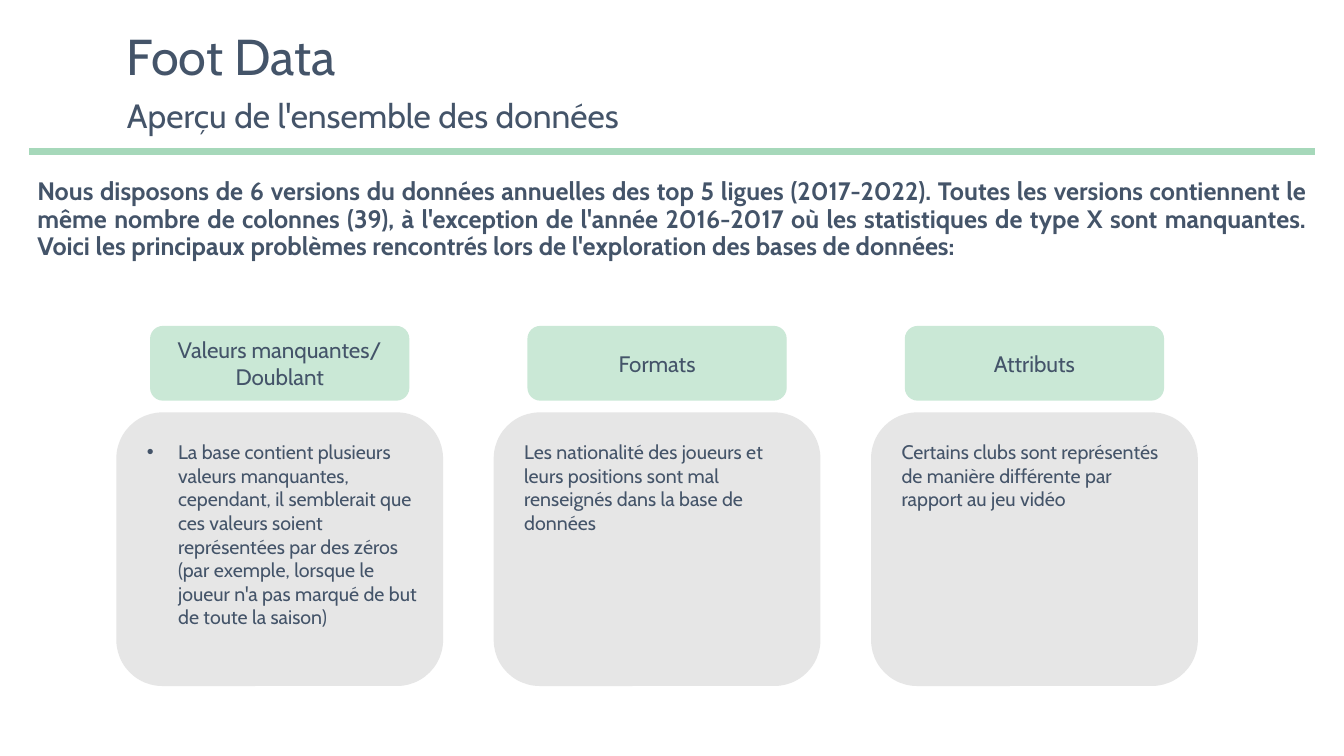
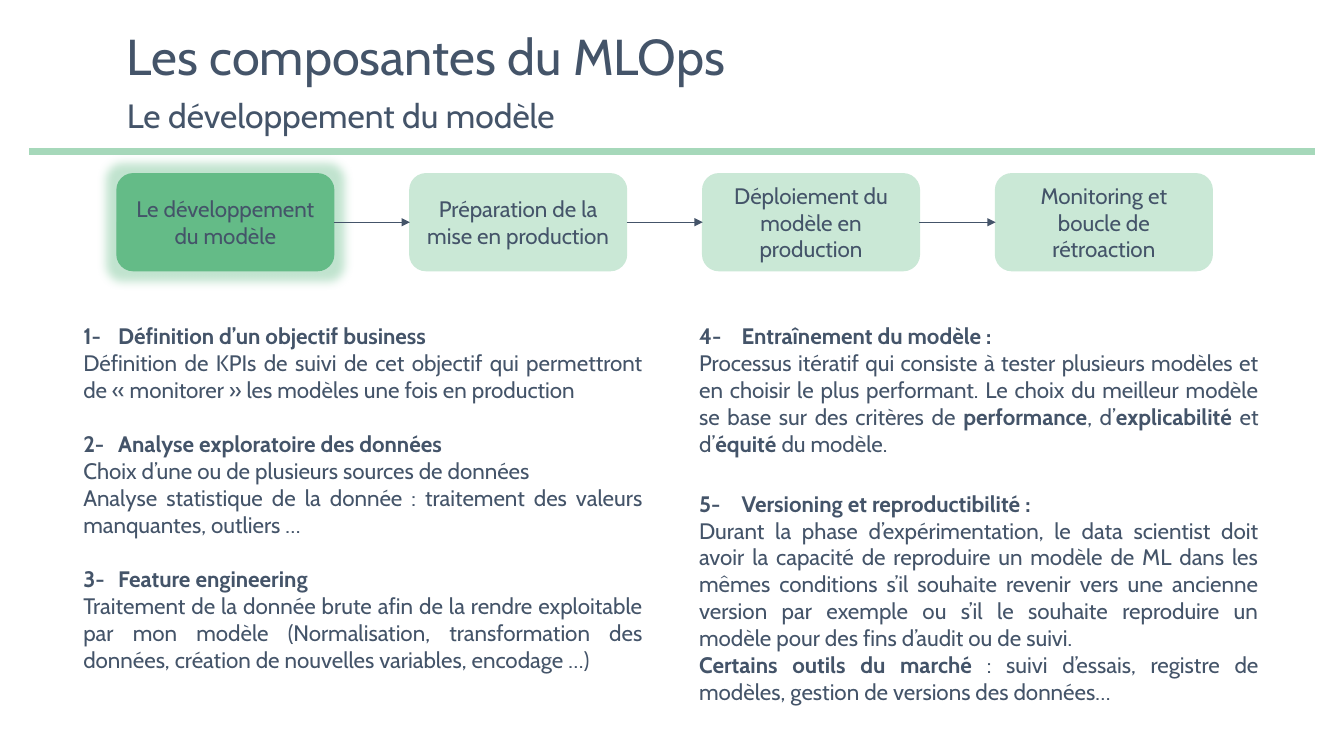
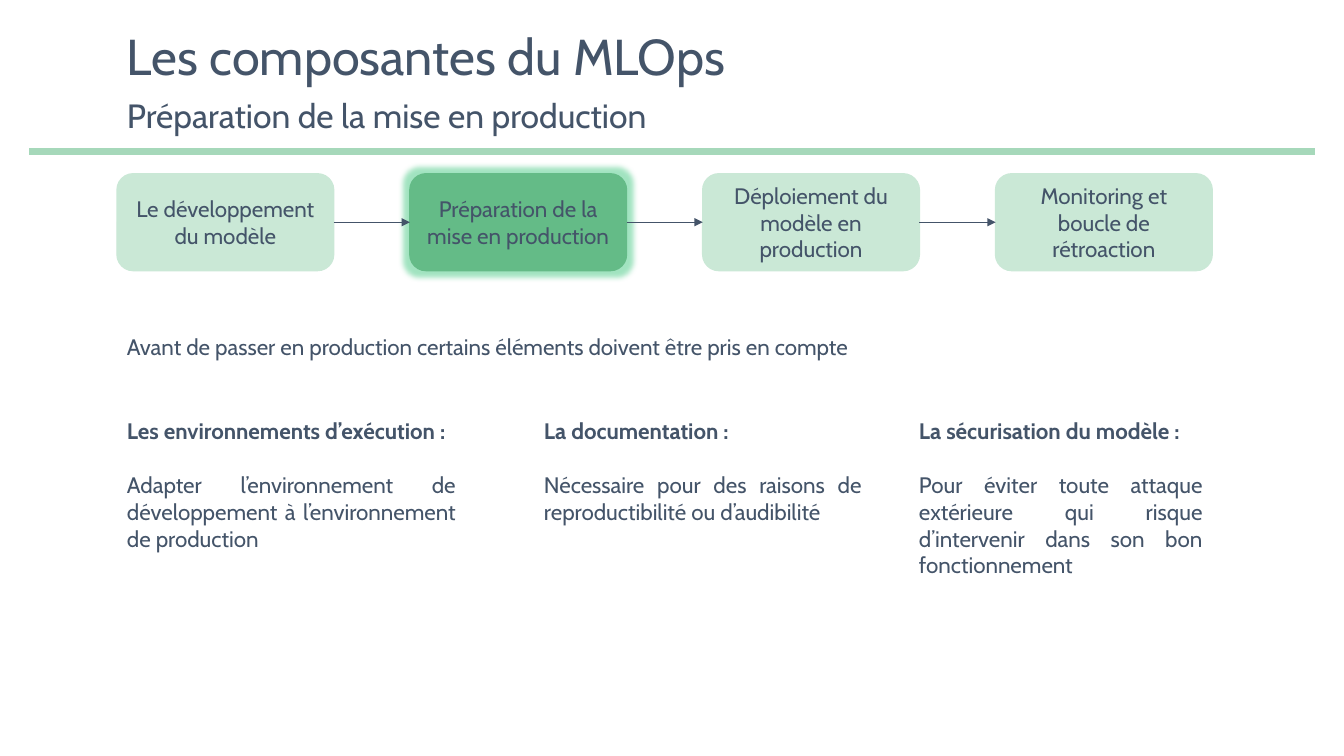
from lxml import etree
from pptx import Presentation
from pptx.dml.color import RGBColor
from pptx.enum.shapes import MSO_CONNECTOR, MSO_SHAPE
from pptx.enum.text import MSO_ANCHOR, PP_ALIGN
from pptx.oxml.ns import qn
from pptx.util import Cm, Pt

STRAIGHT = MSO_CONNECTOR.STRAIGHT
ROUNDED = MSO_SHAPE.ROUNDED_RECTANGLE
TOP, MIDDLE = MSO_ANCHOR.TOP, MSO_ANCHOR.MIDDLE
LEFT, CENTER, JUSTIFY = PP_ALIGN.LEFT, PP_ALIGN.CENTER, PP_ALIGN.JUSTIFY

FONT = "Cabin"
INK = "445469"
RULE_GREEN = "A6D8BA"
PALE_GREEN = "CAE8D6"
STRONG_GREEN = "64BB87"
GREY = "E6E6E6"
color = RGBColor.from_string


def write(shape, lines, size, align=LEFT, anchor=TOP, spacing=None, gap=0):
    frame = shape.text_frame
    frame.word_wrap = True
    frame.vertical_anchor = anchor
    for index, line in enumerate(lines):
        paragraph = frame.add_paragraph() if index else frame.paragraphs[0]
        paragraph.alignment = align
        if spacing:
            paragraph.line_spacing = spacing
        if index and gap:
            paragraph.space_before = Pt(gap)
        for part, words in enumerate(line.split("**")):
            if words:
                run = paragraph.add_run()
                run.text = words
                run.font.name = FONT
                run.font.size = Pt(size)
                run.font.bold = part % 2 == 1
                run.font.color.rgb = color(INK)
    return frame


def add_panel(slide, left, top, width, height, fill, label=""):
    panel = slide.shapes.add_shape(ROUNDED, Cm(left), Cm(top), Cm(width), Cm(height))
    panel.shadow.inherit = False
    panel.fill.solid()
    panel.fill.fore_color.rgb = color(fill)
    panel.line.color.rgb = color(fill)
    panel.line.width = Pt(1)
    if label:
        write(panel, [label], 16, CENTER, MIDDLE)
    return panel


deck = Presentation()
deck.slide_width, deck.slide_height = Cm(33.87), Cm(19.05)

headers = [
    ("Foot Data", "Aperçu de l'ensemble des données"),
    ("Les composantes du MLOps", "Le développement du modèle"),
    ("Les composantes du MLOps", "Préparation de la mise en production"),
]
slides = []
for title, subtitle in headers:
    slide = deck.slides.add_slide(deck.slide_layouts[6])
    rule = slide.shapes.add_connector(STRAIGHT, Cm(0.74), Cm(3.82), Cm(33.15), Cm(3.82))
    rule.line.color.rgb = color(RULE_GREEN)
    rule.line.width = Pt(4.5)
    etree.SubElement(rule._element.spPr, qn("a:effectLst"))
    title_box = slide.shapes.add_textbox(Cm(2.95), Cm(0.64), Cm(30.18), Cm(1.73))
    write(title_box, [title], 36, LEFT, MIDDLE, 0.9)
    subtitle_box = slide.shapes.add_textbox(Cm(2.95), Cm(2.37), Cm(30.18), Cm(1.3))
    write(subtitle_box, [subtitle], 24, spacing=0.9)
    slides.append(slide)
data_slide, development_slide, preparation_slide = slides

intro = data_slide.shapes.add_textbox(Cm(0.69), Cm(4.39), Cm(32.49), Cm(2.84))
write(intro, [
    "**Nous disposons de 6 versions du données annuelles des top 5 ligues (2017-2022). "
    "Toutes les versions contiennent le même nombre de colonnes (39), à l'exception de "
    "l'année 2016-2017 où les statistiques de type X sont manquantes. Voici les principaux "
    "problèmes rencontrés lors de l'exploration des bases de données:**"
], 18, JUSTIFY, spacing=0.9)

issues = [
    ("Valeurs manquantes/ Doublant", 5.05, True,
     "La base contient plusieurs valeurs manquantes, cependant, il semblerait que ces "
     "valeurs soient représentées par des zéros (par exemple, lorsque le joueur n'a pas "
     "marqué de but de toute la saison)"),
    ("Formats", 2.64, False,
     "Les nationalité des joueurs et leurs positions sont mal renseignés dans la base de données"),
    ("Attributs", 2.64, False,
     "Certains clubs sont représentés de manière différente par rapport au jeu vidéo"),
]
for index, (heading, height, bulleted, detail) in enumerate(issues):
    left = 2.95 + index * 9.51
    add_panel(data_slide, left, 10.41, 8.2, 6.86, GREY)
    add_panel(data_slide, left + 0.85, 8.23, 6.5, 1.85, PALE_GREEN, heading)
    detail_box = data_slide.shapes.add_textbox(Cm(left + 0.5), Cm(10.97), Cm(7.34), Cm(height))
    frame = write(detail_box, [detail], 14)
    if bulleted:
        properties = frame.paragraphs[0]._p.get_or_add_pPr()
        properties.set("marL", str(Cm(0.79)))
        properties.set("indent", str(-Cm(0.79)))
        etree.SubElement(properties, qn("a:buFont"), typeface="Arial")
        etree.SubElement(properties, qn("a:buChar"), char="•")

stages = [
    "Le développement du modèle",
    "Préparation de la mise en production",
    "Déploiement du modèle en production",
    "Monitoring et boucle de rétroaction",
]
highlights = [
    (development_slide, 0, 14, STRONG_GREEN, 40),
    (preparation_slide, 1, 8, "63D297", 60),
]
for slide, current, radius, glow_color, opacity in highlights:
    steps = [
        add_panel(slide, 2.95 + index * 7.38, 4.38, 5.46, 2.44,
                  STRONG_GREEN if index == current else PALE_GREEN, stage)
        for index, stage in enumerate(stages)
    ]
    effects = steps[current]._element.spPr.find(qn("a:effectLst"))
    glow = etree.SubElement(effects, qn("a:glow"), rad=str(Pt(radius)))
    tint = etree.SubElement(glow, qn("a:srgbClr"), val=glow_color)
    etree.SubElement(tint, qn("a:alpha"), val=str(opacity * 1000))
    for before, after in zip(steps, steps[1:]):
        arrow = slide.shapes.add_connector(STRAIGHT, 0, 0, 0, 0)
        arrow.begin_connect(before, 3)
        arrow.end_connect(after, 1)
        arrow.line.color.rgb = color(INK)
        arrow.line.width = Pt(0.5)
        etree.SubElement(arrow.line._get_or_add_ln(), qn("a:tailEnd"), type="triangle")
        etree.SubElement(arrow._element.spPr, qn("a:effectLst"))

activities = [
    (1.85, 8.0, 2.31, 0.88, [
        "**1-\tDéfinition d’un objectif business**",
        "Définition de KPIs de suivi de cet objectif qui permettront de « monitorer » les "
        "modèles une fois en production",
    ]),
    (1.85, 10.72, 3.0, 0.88, [
        "**2-\tAnalyse exploratoire des données**",
        "Choix d’une ou de plusieurs sources de données",
        "Analyse statistique de la donnée : traitement des valeurs manquantes, outliers …",
    ]),
    (1.85, 14.12, 3.68, 0.88, [
        "**3-\tFeature engineering**",
        "Traitement de la donnée brute afin de la rendre exploitable par mon modèle "
        "(Normalisation, transformation des données, création de nouvelles variables, encodage …)",
    ]),
    (17.37, 8.0, 3.68, 1.07, [
        "**4-\tEntraînement du modèle :**",
        "Processus itératif qui consiste à tester plusieurs modèles et en choisir le plus "
        "performant. Le choix du meilleur modèle se base sur des critères de **performance**, "
        "d’**explicabilité** et d’**équité** du modèle.",
    ]),
    (17.37, 12.22, 6.4, 1.07, [
        "**5-\tVersioning et reproductibilité :**",
        "Durant la phase d’expérimentation, le data scientist doit avoir la capacité de "
        "reproduire un modèle de ML dans les mêmes conditions s’il souhaite revenir vers une "
        "ancienne version par exemple ou s’il le souhaite reproduire un modèle pour des fins "
        "d’audit ou de suivi.",
        "**Certains outils du marché** : suivi d’essais, registre de modèles, gestion de "
        "versions des données…",
    ]),
]
for left, top, height, tab, lines in activities:
    activity = development_slide.shapes.add_textbox(Cm(left), Cm(top), Cm(14.6), Cm(height))
    frame = write(activity, lines, 16, JUSTIFY)
    tabs = etree.SubElement(frame.paragraphs[0]._p.get_or_add_pPr(), qn("a:tabLst"))
    etree.SubElement(tabs, qn("a:tab"), pos=str(Cm(tab)), algn="l")

requirements = [
    (2.95, 8.79, 4.37, "Les environnements d’exécution :",
     "Adapter l’environnement de développement à l’environnement de production"),
    (13.46, 8.51, 3.68, "La documentation :",
     "Nécessaire pour des raisons de reproductibilité ou d’audibilité"),
    (22.91, 7.65, 5.05, "La sécurisation du modèle :",
     "Pour éviter toute attaque extérieure qui risque d’intervenir dans son bon fonctionnement"),
]
for left, width, height, heading, detail in requirements:
    requirement = preparation_slide.shapes.add_textbox(Cm(left), Cm(10.39), Cm(width), Cm(height))
    write(requirement, [f"**{heading}**", detail], 16, JUSTIFY, gap=19.2)

lead = preparation_slide.shapes.add_textbox(Cm(2.95), Cm(8.28), Cm(30.18), Cm(0.94))
write(lead, ["Avant de passer en production certains éléments doivent être pris en compte"], 16, JUSTIFY)

deck.save("out.pptx")
